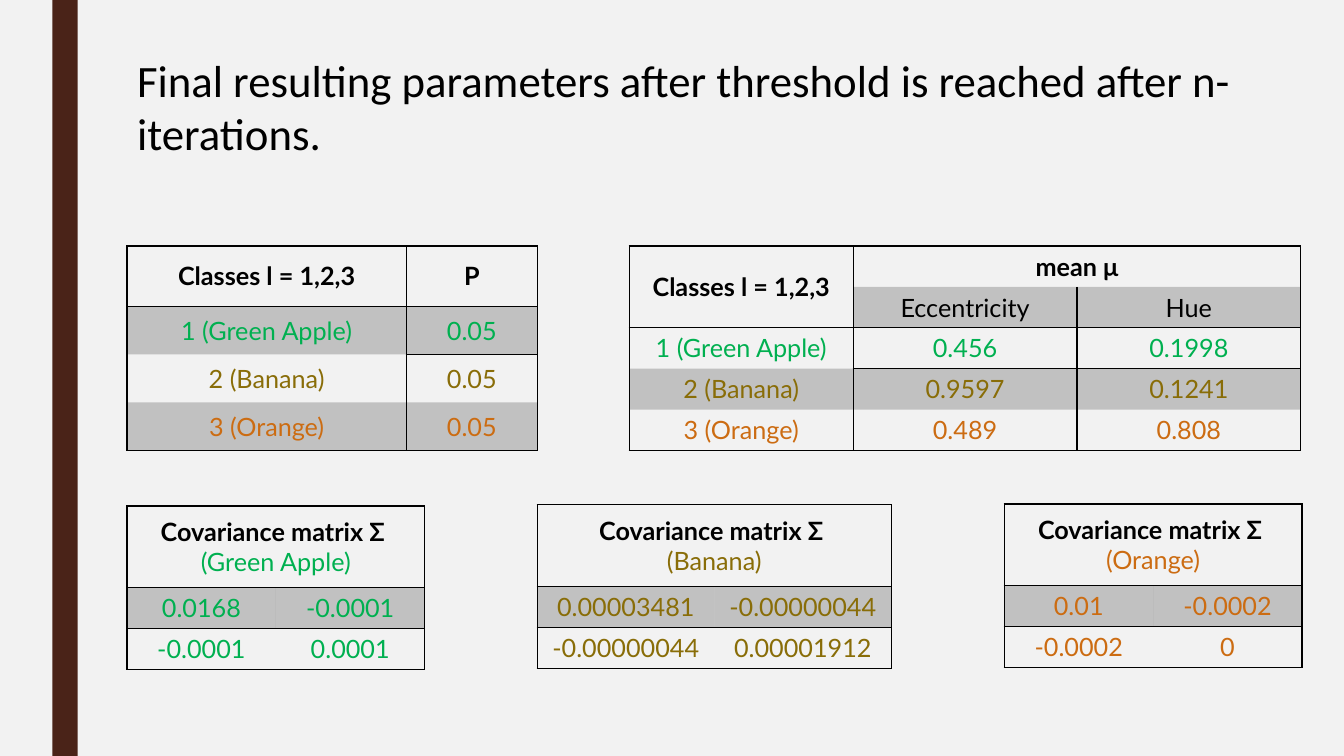
from lxml import etree
from pptx import Presentation
from pptx.dml.color import RGBColor
from pptx.enum.shapes import MSO_SHAPE
from pptx.enum.text import MSO_ANCHOR, PP_ALIGN
from pptx.oxml.ns import qn
from pptx.util import Cm, Pt

RECTANGLE = MSO_SHAPE.RECTANGLE
MIDDLE, TOP = MSO_ANCHOR.MIDDLE, MSO_ANCHOR.TOP
CENTER, LEFT = PP_ALIGN.CENTER, PP_ALIGN.LEFT
TITLE_ONLY = 5
NO_STYLE = "{2D5ABB26-0587-4C30-8999-92F81FD0307C}"
COLOURS = {
    "background": "F2F2F2", "rail": "4A2318", "black": "000000",
    "apple": "00B050", "banana": "896D08", "orange": "CC6C12",
}
CLASSES = {"apple": "(Green Apple)", "banana": "(Banana)", "orange": "(Orange)"}
ROW = 1.03
TABLE_LEFT = 3.2


def rgb(name):
    return RGBColor.from_string(COLOURS[name])


def line(text, colour="black", bold=False):
    return text, colour, bold


def write(paragraph, text, colour, align, **font_values):
    paragraph.alignment = align
    run = paragraph.add_run()
    run.text = text
    for name, value in font_values.items():
        setattr(run.font, name, value)
    run.font.color.rgb = rgb(colour)


def add_title(slide, text):
    title = slide.shapes.title
    box = {"left": Cm(TABLE_LEFT), "top": Cm(1.19), "width": Cm(29.6), "height": Cm(3)}
    for name, value in box.items():
        setattr(title, name, value)
    title.text_frame.word_wrap = True
    title.text_frame.vertical_anchor = TOP
    write(title.text_frame.paragraphs[0], text, "black", LEFT, name="Calibri", size=Pt(32))


def add_rail(slide, height):
    rail = slide.shapes.add_shape(RECTANGLE, Cm(1.32), 0, Cm(0.64), height)
    rail.shadow.inherit = False
    rail.fill.solid()
    rail.fill.fore_color.rgb = rgb("rail")
    rail.line.fill.background()


def shade(cell):
    """Fill a cell with black at 20 % opacity."""
    cell.fill.solid()
    cell.fill.fore_color.rgb = rgb("black")
    colour = next(cell._tc.tcPr.iter(qn("a:srgbClr")))
    etree.SubElement(colour, qn("a:alpha"), val="20000")


def set_borders(cell, sides):
    """Draw black lines on the named sides, in the order L, R, T, B."""
    properties = cell._tc.get_or_add_tcPr()
    for index, side in enumerate(sides):
        border = etree.Element(qn(f"a:ln{side}"), w=str(Pt(1)))
        fill = etree.SubElement(border, qn("a:solidFill"))
        etree.SubElement(fill, qn("a:srgbClr"), val=COLOURS["black"])
        properties.insert(index, border)


def add_table(slide, left, top, widths, heights, rows, borders, shaded, merges=()):
    """Rows hold cells, cells hold lines; borders name the sides of each cell."""
    frame = slide.shapes.add_table(
        len(heights), len(widths), Cm(left), Cm(top), Cm(sum(widths)), Cm(sum(heights)))
    table = frame.table
    table._tbl.tblPr.find(qn("a:tableStyleId")).text = NO_STYLE
    for column, width in zip(table.columns, widths):
        column.width = Cm(width)
    for row, height in zip(table.rows, heights):
        row.height = Cm(height)
    for first, last in merges:
        table.cell(*first).merge(table.cell(*last))

    for row_index, (row, row_borders) in enumerate(zip(rows, borders)):
        for column_index, (lines, sides) in enumerate(zip(row, row_borders.split())):
            cell = table.cell(row_index, column_index)
            cell.vertical_anchor = MIDDLE
            if row_index in shaded and not cell.is_spanned:
                shade(cell)
            set_borders(cell, sides)
            for index, (text, colour, bold) in enumerate(lines):
                frame_text = cell.text_frame
                paragraph = frame_text.add_paragraph() if index else frame_text.paragraphs[0]
                write(paragraph, text, colour, CENTER, name="Lato", size=Pt(18), bold=bold)


def class_rows(values):
    """One coloured row per class: its numbered name, then its values."""
    return [
        [[line(text, colour)] for text in (f"{number} {CLASSES[colour]}", *values[colour])]
        for number, colour in enumerate(CLASSES, 1)
    ]


def add_covariance(slide, left, top, width, colour, matrix):
    header = [line("Covariance matrix Σ ", bold=True), line(CLASSES[colour], colour)]
    rows = [[header, []]] + [[[line(text, colour)] for text in row] for row in matrix]
    add_table(slide, left, top, [width] * 2, [2 * ROW, ROW, ROW], rows,
              ["LRTB RTB", "LB RB", "LB RB"], {1}, [((0, 0), (0, 1))])


def main():
    presentation = Presentation()
    presentation.slide_width, presentation.slide_height = Cm(33.87), Cm(19.05)
    slide = presentation.slides.add_slide(presentation.slide_layouts[TITLE_ONLY])
    slide.background.fill.solid()
    slide.background.fill.fore_color.rgb = rgb("background")
    add_rail(slide, presentation.slide_height)
    add_title(slide, "Final resulting parameters after threshold is reached after n-iterations.")

    # Class means
    classes = [line("Classes l = 1,2,3", bold=True)]
    means = {"apple": ("0.456", "0.1998"), "banana": ("0.9597", "0.1241"),
             "orange": ("0.489", "0.808")}
    mean_header = [[classes, [line("mean μ", bold=True)], []],
                   [[], [line("Eccentricity")], [line("Hue")]]]
    add_table(slide, 15.86, 6.2, [5.64] * 3, [ROW] * 5, mean_header + class_rows(means),
              ["LRTB LRT RT", "LRB LRB LRB", "LR LRB LRB", "LR LR LR", "LRB LRB LRB"],
              {1, 3}, [((0, 0), (1, 0)), ((0, 1), (0, 2))])

    # Class probabilities
    probabilities = {colour: ("0.05",) for colour in CLASSES}
    add_table(slide, TABLE_LEFT, 6.2, [7.04, 3.3], [1.52] + [1.21] * 3,
              [[classes, [line("P", bold=True)]]] + class_rows(probabilities),
              ["LRTB LRTB", "LR LRB", "LR LR", "LRB LRB"], {1, 3})

    # Covariance matrices
    add_covariance(slide, TABLE_LEFT, 12.75, 3.75, "apple",
                   [("0.0168", "-0.0001"), ("-0.0001", "0.0001")])
    add_covariance(slide, 13.54, 12.72, 4.46, "banana",
                   [("0.00003481", "-0.00000044"), ("-0.00000044", "0.00001912")])
    add_covariance(slide, 25.31, 12.7, 3.75, "orange",
                   [("0.01", "-0.0002"), ("-0.0002", "0")])

    presentation.save("out.pptx")


if __name__ == "__main__":
    main()
